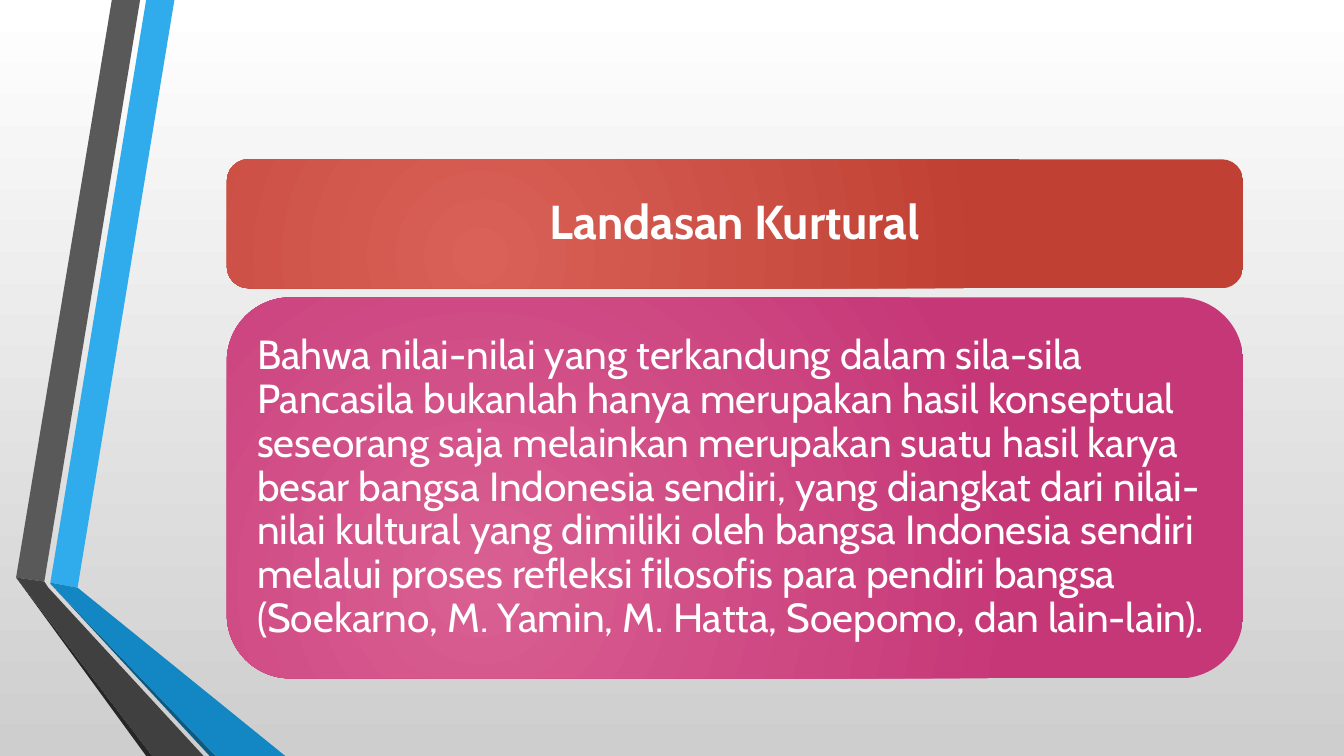
from lxml.etree import SubElement
from pptx import Presentation
from pptx.dml.color import RGBColor
from pptx.enum.shapes import MSO_SHAPE as SHAPE
from pptx.enum.text import MSO_ANCHOR as ANCHOR, MSO_AUTO_SIZE as AUTO, PP_ALIGN as ALIGN
from pptx.oxml.ns import qn
from pptx.util import Inches, Pt

HEADING = "Landasan Kurtural"
BODY = (
    "Bahwa nilai-nilai yang terkandung dalam sila-sila Pancasila bukanlah hanya "
    "merupakan hasil konseptual seseorang saja melainkan merupakan suatu hasil karya "
    "besar bangsa Indonesia sendiri, yang diangkat dari nilai-nilai kultural yang "
    "dimiliki oleh bangsa Indonesia sendiri melalui proses refleksi filosofis para "
    "pendiri bangsa (Soekarno, M. Yamin, M. Hatta, Soepomo, dan lain-lain)."
)
RIBBONS = [
    ("30ACEC", [(0.5, 5.78), (0.77, 5.83), (1.73, 0), (1.45, 0)]),
    ("595959", [(1.39, 0), (1.11, 0), (0.16, 5.73), (0.44, 5.77)]),
    ("262626", [(0.16, 5.73), (1.45, 7.5), (1.51, 7.5)]),
    ("0C5A82", [(0.5, 5.79), (2.08, 7.5), (2.14, 7.5)]),
    ("1287C3", [(0.5, 5.79), (2.14, 7.5), (2.83, 7.5), (0.77, 5.83), (0.5, 5.78)]),
    ("404040", [(2.02, 7.5), (0.48, 5.83), (0.44, 5.77), (0.16, 5.73), (1.51, 7.5)]),
]
BACKGROUND = ("FFFFFF", "CECECE")
CARD_LEFT, CARD_WIDTH = 2.25, 10.08
CARDS = [
    dict(text=HEADING, top=1.58, height=1.28, colors=("D96157", "C04033"),
         pad=0.06, inset=0.14, size=34, bold=True, align=ALIGN.CENTER),
    dict(text=BODY, top=2.95, height=3.78, colors=("D95F92", "C63777"),
         pad=0.18, inset=0.12, size=29, bold=False, align=ALIGN.LEFT),
]


def rgb(value):
    return RGBColor.from_string(value)


def set_gradient(fill, colors):
    fill.gradient()
    for stop, color in zip(fill.gradient_stops, colors):
        stop.color.rgb = rgb(color)


def make_radial(sp):
    grad = sp._element.spPr.find(qn("a:gradFill"))
    grad.remove(grad.find(qn("a:lin")))
    path = SubElement(grad, qn("a:path"), path="circle")
    SubElement(path, qn("a:fillToRect"), l="50000", t="100000", r="100000", b="50000")


def add_ribbon(s, color, points):
    points = [(Inches(x), Inches(y)) for x, y in points]
    builder = s.shapes.build_freeform(*points[0])
    builder.add_line_segments(points[1:], close=True)
    sp = builder.convert_to_shape()
    sp.shadow.inherit = False
    sp.fill.solid()
    sp.fill.fore_color.rgb = rgb(color)
    sp.line.fill.background()


def add_card(s, top, height, colors):
    sp = s.shapes.add_shape(SHAPE.ROUNDED_RECTANGLE, Inches(CARD_LEFT), Inches(top),
                            Inches(CARD_WIDTH), Inches(height))
    sp.shadow.inherit = False
    set_gradient(sp.fill, colors)
    make_radial(sp)
    sp.line.fill.background()


def write_text(sp, text, *, top, height, pad, inset, size, bold, align):
    sp.left, sp.top = Inches(CARD_LEFT + pad), Inches(top + pad)
    sp.width, sp.height = Inches(CARD_WIDTH - 2 * pad), Inches(height - 2 * pad)
    tf = sp.text_frame
    tf.word_wrap = True
    tf.auto_size = AUTO.NONE
    tf.vertical_anchor = ANCHOR.MIDDLE
    tf.margin_left = tf.margin_right = tf.margin_top = tf.margin_bottom = Inches(inset)
    p = tf.paragraphs[0]
    p.alignment = align
    p.line_spacing = 0.9
    p.space_before = Pt(0)
    pPr = p._p.get_or_add_pPr()
    pPr.set("marL", "0")
    pPr.set("indent", "0")
    SubElement(pPr, qn("a:buNone"))
    r = p.add_run()
    r.text = text
    r.font.name = "Cabin"
    r.font.size = Pt(size)
    r.font.bold = bold
    r.font.color.rgb = rgb("FFFFFF")


def main():
    prs = Presentation()
    prs.slide_width, prs.slide_height = Inches(13.33), Inches(7.5)
    s = prs.slides.add_slide(prs.slide_layouts[1])
    set_gradient(s.background.fill, BACKGROUND)
    s.background.fill.gradient_angle = 270
    for color, points in RIBBONS:
        add_ribbon(s, color, points)
    for sp, card in zip(list(s.placeholders), CARDS):
        add_card(s, card["top"], card["height"], card.pop("colors"))
        s.shapes._spTree.append(sp._element)
        write_text(sp, **card)
    prs.save("out.pptx")


if __name__ == "__main__":
    main()
